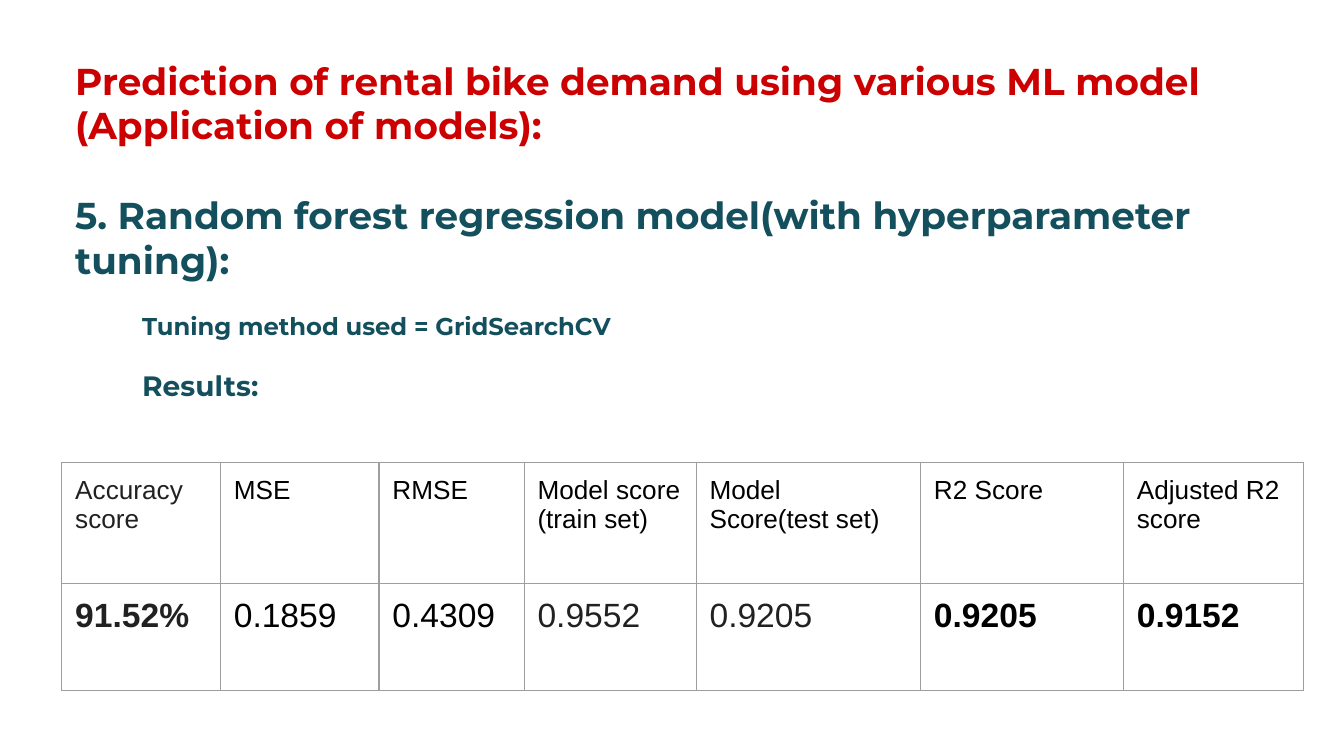
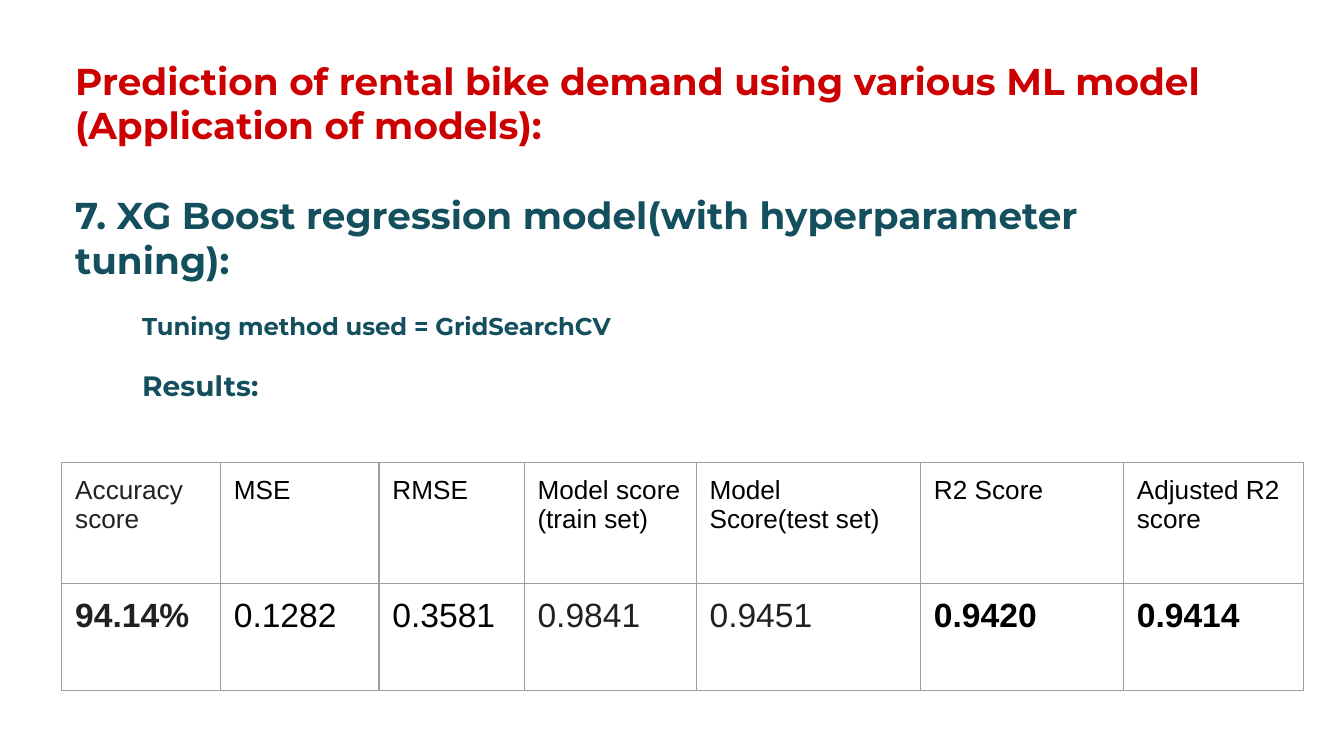
from lxml.etree import SubElement
from pptx import Presentation
from pptx.dml.color import RGBColor as Rgb
from pptx.enum.text import MSO_ANCHOR as Anchor
from pptx.oxml.ns import qn
from pptx.util import Inches, Pt

COLORS = {"title": "CC0000", "heading": "134F5C", "dark": "212121",
          "black": "000000", "border": "9E9E9E"}
HEADING_FONT, TABLE_FONT = "Montserrat", "Arial"
INSET = Inches(0.1)

TITLE = "Prediction of rental bike demand using various ML model (Application of models):"
TUNING = "Tuning method used = GridSearchCV"
RESULTS = "Results:"
MODELS = [
    ("5. Random forest regression model(with hyperparameter tuning):",
     ["91.52%", "0.1859", "0.4309", "0.9552", "0.9205", "0.9205", "0.9152"]),
    ("7. XG Boost regression model(with hyperparameter tuning):",
     ["94.14%", "0.1282", "0.3581", "0.9841", "0.9451", "0.9420", "0.9414"]),
]
METRICS = [
    ("Accuracy score", 1.18, "dark", "dark", True),
    ("MSE", 1.18, "black", "black", False),
    ("RMSE", 1.08, "black", "black", False),
    ("Model score\n(train set)", 1.28, "black", "dark", False),
    ("Model Score(test set)", 1.67, "black", "dark", False),
    ("R2 Score", 1.51, "black", "black", True),
    ("Adjusted R2 score", 1.34, "black", "black", True),
]
ROW_HEIGHTS = [0.9, 0.8]


def style(paragraph, font_name, size, color, bold):
    font = paragraph.font
    font.name, font.size, font.bold = font_name, Pt(size), bold
    font.color.rgb = Rgb.from_string(COLORS[color])


def set_insets(target):
    target.margin_left = target.margin_right = INSET
    target.margin_top = target.margin_bottom = INSET


def add_headings(slide, model_name):
    frame = slide.shapes.add_textbox(
        Inches(0.46), Inches(0.33), Inches(8.88), Inches(5.03)).text_frame
    frame.word_wrap = True
    set_insets(frame)
    headings = [
        (TITLE, 20, "title", 0, 0),
        (model_name, 20, "heading", 24, 0),
        (TUNING, 13, "heading", 15.5, 0.5),
        (RESULTS, 15, "heading", 15.5, 0.5),
    ]
    frame.text = "\n".join(heading[0] for heading in headings)
    for paragraph, (_, size, color, gap, indent) in zip(frame.paragraphs, headings):
        style(paragraph, HEADING_FONT, size, color, True)
        paragraph.space_before = Pt(gap)
        properties = paragraph._p.get_or_add_pPr()
        properties.set("marL", str(Inches(indent)))
        properties.set("indent", "0")


def add_borders(cell):
    properties = cell._tc.get_or_add_tcPr()
    for side in ("a:lnL", "a:lnR", "a:lnT", "a:lnB"):
        line = SubElement(properties, qn(side), w=str(Pt(0.75)))
        fill = SubElement(line, qn("a:solidFill"))
        SubElement(fill, qn("a:srgbClr"), val=COLORS["border"])


def fill_cell(cell, text, size, color, bold):
    cell.text = text
    cell.vertical_anchor = Anchor.TOP
    set_insets(cell)
    add_borders(cell)
    cell.fill.background()
    for paragraph in cell.text_frame.paragraphs:
        style(paragraph, TABLE_FONT, size, color, bold)


def add_scores(slide, scores):
    table = slide.shapes.add_table(
        len(ROW_HEIGHTS), len(METRICS), Inches(0.46), Inches(3.44),
        Inches(sum(metric[1] for metric in METRICS)), Inches(sum(ROW_HEIGHTS))).table
    table.first_row = table.horz_banding = False
    for row, height in zip(table.rows, ROW_HEIGHTS):
        row.height = Inches(height)
    for column, (metric, score) in enumerate(zip(METRICS, scores)):
        label, width, label_color, score_color, bold = metric
        table.columns[column].width = Inches(width)
        fill_cell(table.cell(0, column), label, 14, label_color, False)
        fill_cell(table.cell(1, column), score, 18, score_color, bold)


def main():
    deck = Presentation()
    deck.slide_width = Inches(10)
    deck.slide_height = deck.slide_width * 9 // 16
    for model_name, scores in MODELS:
        slide = deck.slides.add_slide(deck.slide_layouts[6])
        add_headings(slide, model_name)
        add_scores(slide, scores)
    deck.save("out.pptx")


if __name__ == "__main__":
    main()
